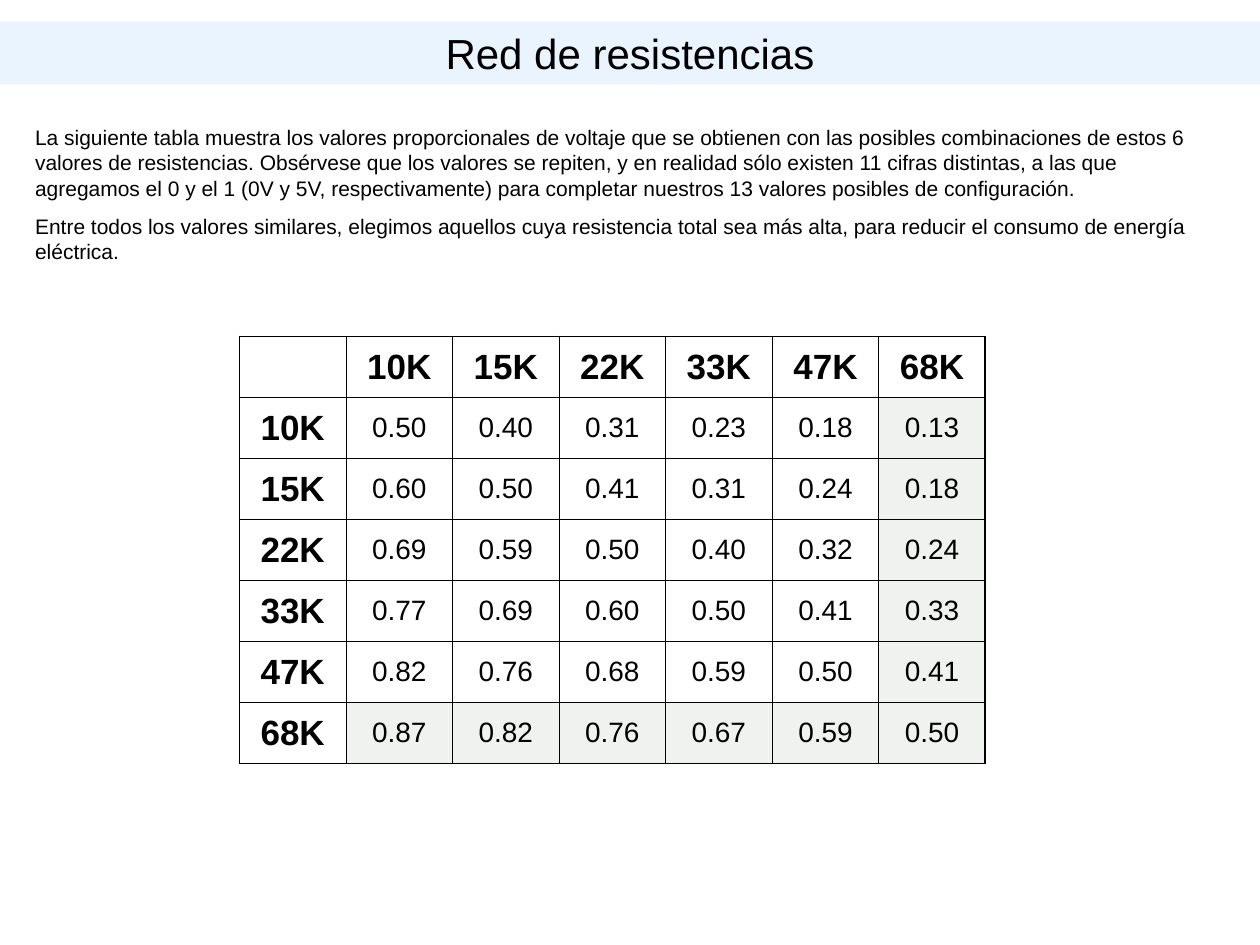
from typing import NamedTuple

import pptx
import pptx.dml.color
import pptx.enum.shapes
import pptx.enum.text
import pptx.oxml.ns
import pptx.oxml.xmlchemy
import pptx.util
from lxml import etree
from pptx.util import Inches

ALIGN = pptx.enum.text.PP_ALIGN
ANCHOR = pptx.enum.text.MSO_ANCHOR
qn = pptx.oxml.ns.qn

BLACK = "000000"
BAND = "99CCFF"
SHADE = "E1E6DE"
THIN, THICK = 0.45, 1.08

RESISTORS = [10, 15, 22, 33, 47, 68]
PARAGRAPHS = [
    "La siguiente tabla muestra los valores proporcionales de voltaje que se obtienen "
    "con las posibles combinaciones de estos 6 valores de resistencias. Obsérvese que "
    "los valores se repiten, y en realidad sólo existen 11 cifras distintas, a las que "
    "agregamos el 0 y el 1 (0V y 5V, respectivamente) para completar nuestros 13 valores "
    "posibles de configuración.",
    "Entre todos los valores similares, elegimos aquellos cuya resistencia total sea más "
    "alta, para reducir el consumo de energía eléctrica.",
]


class TableCell(NamedTuple):
    text: str
    header: bool = False
    shaded: bool = False


def rgb(color: str) -> pptx.dml.color.RGBColor:
    return pptx.dml.color.RGBColor.from_string(color)


def set_fill(fill, props, color: str, opacity: int) -> None:
    """Fill with a colour; props is the XML element that holds the fill."""
    fill.solid()
    fill.fore_color.rgb = rgb(color)
    clr = props.find(f"{qn('a:solidFill')}/{qn('a:srgbClr')}")
    etree.SubElement(clr, qn("a:alpha"), val=str(opacity * 1000))


def add_text(p, text: str, *, size: float, bold: bool = False,
             align=ALIGN.LEFT, before: float = 0) -> None:
    p.alignment = align
    p.space_before = pptx.util.Pt(before)
    r = p.add_run()
    r.text = text
    r.font.name = "Arial"
    r.font.size = pptx.util.Pt(size)
    r.font.bold = bold
    r.font.color.rgb = rgb(BLACK)


def set_borders(props, widths: dict[str, float]) -> None:
    for side, width in widths.items():
        ln = etree.SubElement(props, qn(f"a:ln{side}"), w=str(pptx.util.Pt(width)))
        line_fill = etree.SubElement(ln, qn("a:solidFill"))
        etree.SubElement(line_fill, qn("a:srgbClr"), val=BLACK)


def table_rows() -> list[list[TableCell]]:
    """Each value is the divider ratio row / (row + column)."""
    last = RESISTORS[-1]
    rows = [[TableCell("")] + [TableCell(f"{c}K", header=True) for c in RESISTORS]]
    for a in RESISTORS:
        ratios = [TableCell(f"{a / (a + b):.2f}", shaded=last in (a, b)) for b in RESISTORS]
        rows.append([TableCell(f"{a}K", header=True)] + ratios)
    return rows


def add_title(s, text: str) -> None:
    sp = s.shapes.add_shape(pptx.enum.shapes.MSO_SHAPE.RECTANGLE,
                            Inches(0), Inches(0.17), Inches(10), Inches(0.5))
    sp.shadow.inherit = False
    sp.line.fill.background()
    set_fill(sp.fill, sp._element.spPr, BAND, 20)
    tf = sp.text_frame
    tf.word_wrap = True
    tf.vertical_anchor = ANCHOR.TOP
    add_text(tf.paragraphs[0], text, size=24, align=ALIGN.CENTER)


def add_body(s, paragraphs: list[str]) -> None:
    tf = s.shapes.add_textbox(Inches(0.18), Inches(0.94), Inches(9.55), Inches(1.21)).text_frame
    tf.word_wrap = True
    for i, text in enumerate(paragraphs):
        p = tf.add_paragraph() if i else tf.paragraphs[0]
        add_text(p, text, size=12, before=7.5 if i else 0)


def add_ratio_table(s, rows: list[list[TableCell]]) -> None:
    n = len(rows)
    table = s.shapes.add_table(n, n, Inches(1.9), Inches(2.67),
                               Inches(5.92), Inches(3.39)).table
    table.first_row = table.horz_banding = False
    for i, row in enumerate(rows):
        for j, item in enumerate(row):
            cell = table.cell(i, j)
            cell.vertical_anchor = ANCHOR.MIDDLE
            props = cell._tc.get_or_add_tcPr()
            outer = {"L": j == 0, "R": j == n - 1, "T": i == 0, "B": i == n - 1}
            set_borders(props, {side: THICK if edge else THIN for side, edge in outer.items()})
            if item.shaded:
                set_fill(cell.fill, props, SHADE, 50)
            else:
                cell.fill.background()
            if item.text:
                add_text(cell.text_frame.paragraphs[0], item.text, bold=item.header,
                         size=20 if item.header else 16, align=ALIGN.CENTER)


def main() -> None:
    prs = pptx.Presentation()
    prs.slide_width, prs.slide_height = Inches(10), Inches(7.5)
    s = prs.slides.add_slide(prs.slide_layouts[6])
    add_title(s, "Red de resistencias")
    add_ratio_table(s, table_rows())
    add_body(s, PARAGRAPHS)
    prs.save("out.pptx")


if __name__ == "__main__":
    main()
